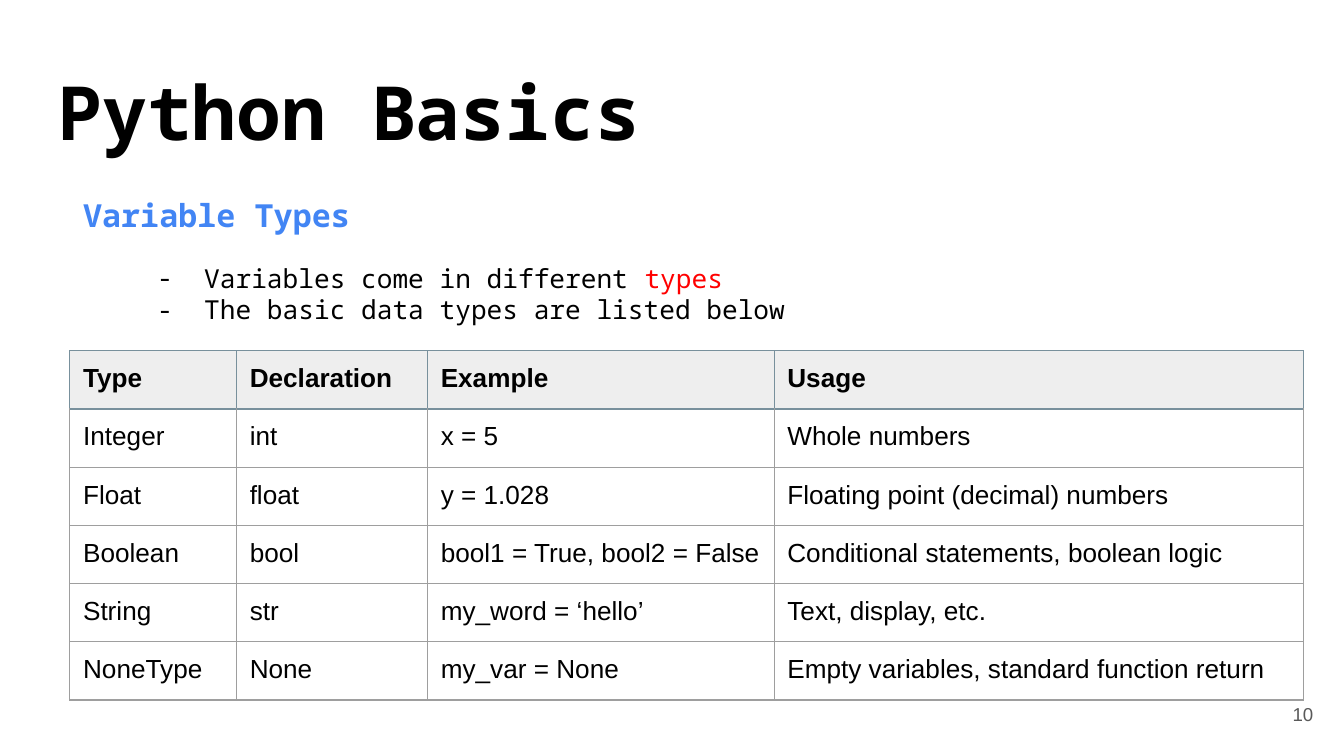
from lxml.etree import SubElement
from pptx import Presentation
from pptx.dml.color import RGBColor
from pptx.enum.text import MSO_ANCHOR, MSO_AUTO_SIZE, PP_ALIGN
from pptx.oxml.ns import qn
from pptx.util import Cm, Pt

BLACK = RGBColor(0x00, 0x00, 0x00)
BLUE = RGBColor(0x42, 0x85, 0xF4)
RED = RGBColor(0xFF, 0x00, 0x00)
GRAY = RGBColor(0x59, 0x59, 0x59)
WHITE = RGBColor(0xFF, 0xFF, 0xFF)
HEADER_FILL = RGBColor(0xEE, 0xEE, 0xEE)
HEADER_LINE = RGBColor(0x78, 0x90, 0x9C)
GRID_LINE = RGBColor(0x9E, 0x9E, 0x9E)

MONO = "Noto Sans Mono"
SANS = "Arial"
INSET = Cm(0.25)

COLUMN_WIDTHS = [3.15, 3.61, 6.55, 10.01]
ROW_HEIGHT = 1.1
TYPE_ROWS = [
    ("Type", "Declaration", "Example", "Usage"),
    ("Integer", "int", "x = 5", "Whole numbers"),
    ("Float", "float", "y = 1.028", "Floating point (decimal) numbers"),
    ("Boolean", "bool", "bool1 = True, bool2 = False",
     "Conditional statements, boolean logic"),
    ("String", "str", "my_word = ‘hello’", "Text, display, etc."),
    ("NoneType", "None", "my_var = None",
     "Empty variables, standard function return"),
]


def style_paragraph(paragraph, name, size, color, bold=False,
                    align=PP_ALIGN.LEFT):
    font = paragraph.font
    font.name, font.size, font.bold = name, Pt(size), bold
    font.color.rgb = color
    paragraph.alignment = align
    paragraph.space_before = Pt(0)


def place_box(box, left, top, width, height, anchor=MSO_ANCHOR.TOP):
    box.left, box.top = Cm(left), Cm(top)
    box.width, box.height = Cm(width), Cm(height)
    frame = box.text_frame
    frame.word_wrap = True
    frame.auto_size = MSO_AUTO_SIZE.NONE
    frame.vertical_anchor = anchor
    frame.margin_left = frame.margin_right = INSET
    frame.margin_top = frame.margin_bottom = INSET
    return frame


def add_label(page, text, position, *style, anchor=MSO_ANCHOR.TOP,
              **options):
    box = page.shapes.add_textbox(0, 0, 0, 0)
    frame = place_box(box, *position, anchor=anchor)
    frame.text = text
    style_paragraph(frame.paragraphs[0], *style, **options)


def set_dash_bullet(paragraph):
    properties = paragraph._p.get_or_add_pPr()
    properties.set("marL", str(Cm(1.27)))
    properties.set("indent", str(Cm(-0.89)))
    color = SubElement(properties, qn("a:buClr"))
    SubElement(color, qn("a:srgbClr"), val=str(BLACK))
    SubElement(properties, qn("a:buFont"), typeface=MONO)
    SubElement(properties, qn("a:buChar"), char="-")


def fill_list(frame, items):
    """Each item is a list of (text, color) spans."""
    for index, spans in enumerate(items):
        paragraph = frame.paragraphs[0] if index == 0 else frame.add_paragraph()
        set_dash_bullet(paragraph)
        for text, color in spans:
            span = paragraph.add_run()
            span.text = text
            span.font.color.rgb = color
        style_paragraph(paragraph, MONO, 14, BLACK)


def set_borders(cell, color, top_color):
    properties = cell._tc.get_or_add_tcPr()
    for side in ("L", "R", "T", "B"):
        line = SubElement(properties, qn(f"a:ln{side}"), w=str(Pt(0.75)))
        fill = SubElement(line, qn("a:solidFill"))
        side_color = top_color if side == "T" else color
        SubElement(fill, qn("a:srgbClr"), val=str(side_color))


def format_cell(cell, text, row):
    header = row == 0
    cell.text = text
    cell.margin_left = cell.margin_right = INSET
    cell.margin_top = cell.margin_bottom = INSET
    style_paragraph(cell.text_frame.paragraphs[0], SANS, 14, BLACK, bold=header)
    set_borders(cell, HEADER_LINE if header else GRID_LINE,
                HEADER_LINE if row <= 1 else GRID_LINE)
    cell.fill.solid()
    cell.fill.fore_color.rgb = HEADER_FILL if header else WHITE


def add_type_table(page):
    table = page.shapes.add_table(
        len(TYPE_ROWS), len(COLUMN_WIDTHS), Cm(1.32), Cm(6.63),
        Cm(sum(COLUMN_WIDTHS)), Cm(ROW_HEIGHT * len(TYPE_ROWS))).table
    for column, width in zip(table.columns, COLUMN_WIDTHS):
        column.width = Cm(width)
    for row, texts in enumerate(TYPE_ROWS):
        table.rows[row].height = Cm(ROW_HEIGHT)
        for column, text in enumerate(texts):
            format_cell(table.cell(row, column), text, row)


def main():
    deck = Presentation()
    deck.slide_width, deck.slide_height = Cm(25.4), Cm(14.29)
    page = deck.slides.add_slide(deck.slide_layouts[1])

    # Title and section heading
    title = place_box(page.shapes.title, 0.84, 0.99, 13.77, 2.24)
    title.text = "Python Basics"
    style_paragraph(title.paragraphs[0], MONO, 40, BLACK, bold=True)
    add_label(page, "Variable Types", (1.32, 3.45, 17.09, 1.24),
              MONO, 17, BLUE, bold=True)

    # Introductory list
    body = place_box(page.placeholders[1], 2.34, 4.7, 21.74, 1.7)
    fill_list(body, [
        [("Variables come in different ", BLACK), ("types", RED)],
        [("The basic data types are listed below", BLACK)],
    ])

    # Table of types and page number
    add_type_table(page)
    add_label(page, "10", (23.55, 12.95, 1.52, 1.09), SANS, 10, GRAY,
              align=PP_ALIGN.RIGHT, anchor=MSO_ANCHOR.MIDDLE)

    deck.save("out.pptx")


if __name__ == "__main__":
    main()
